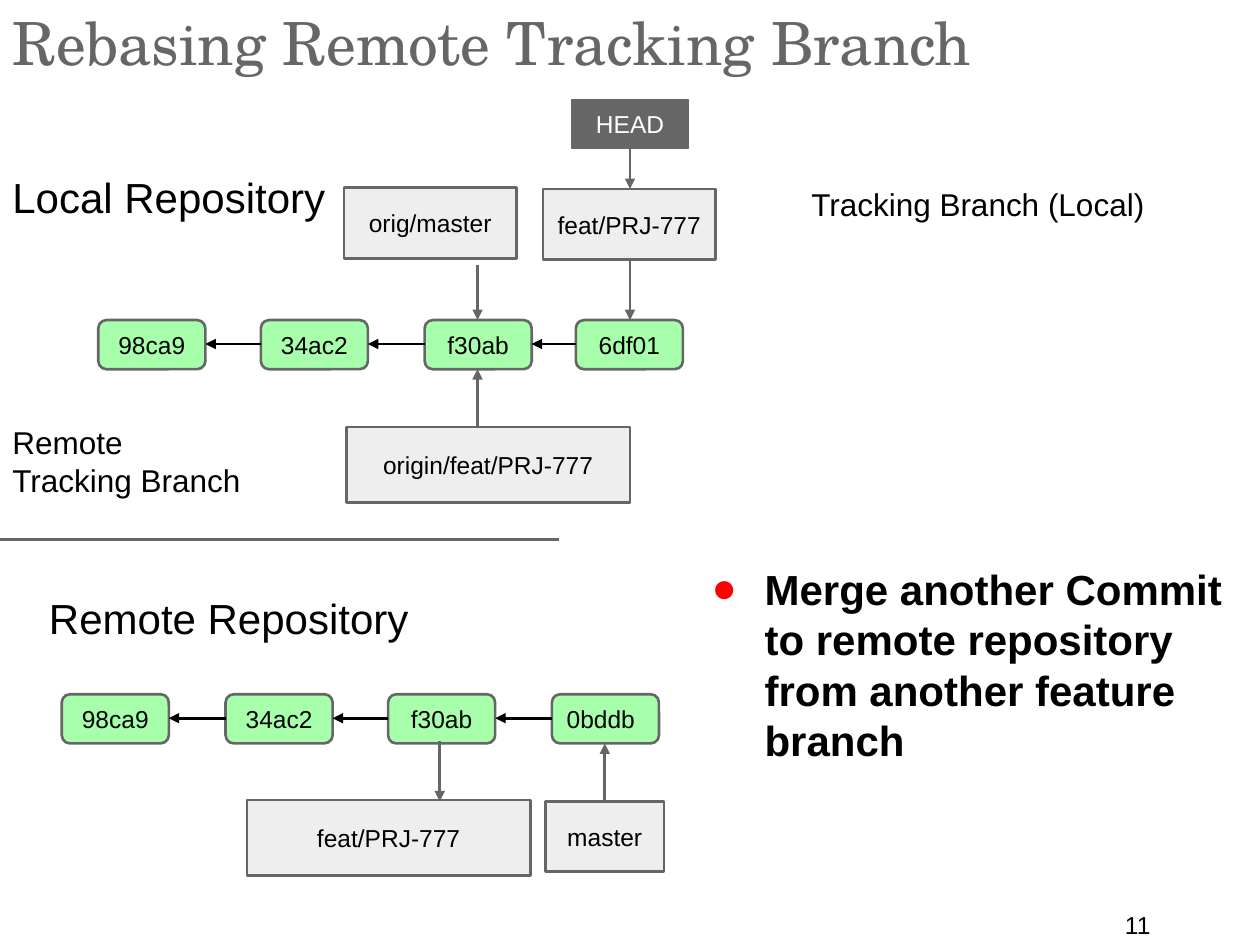
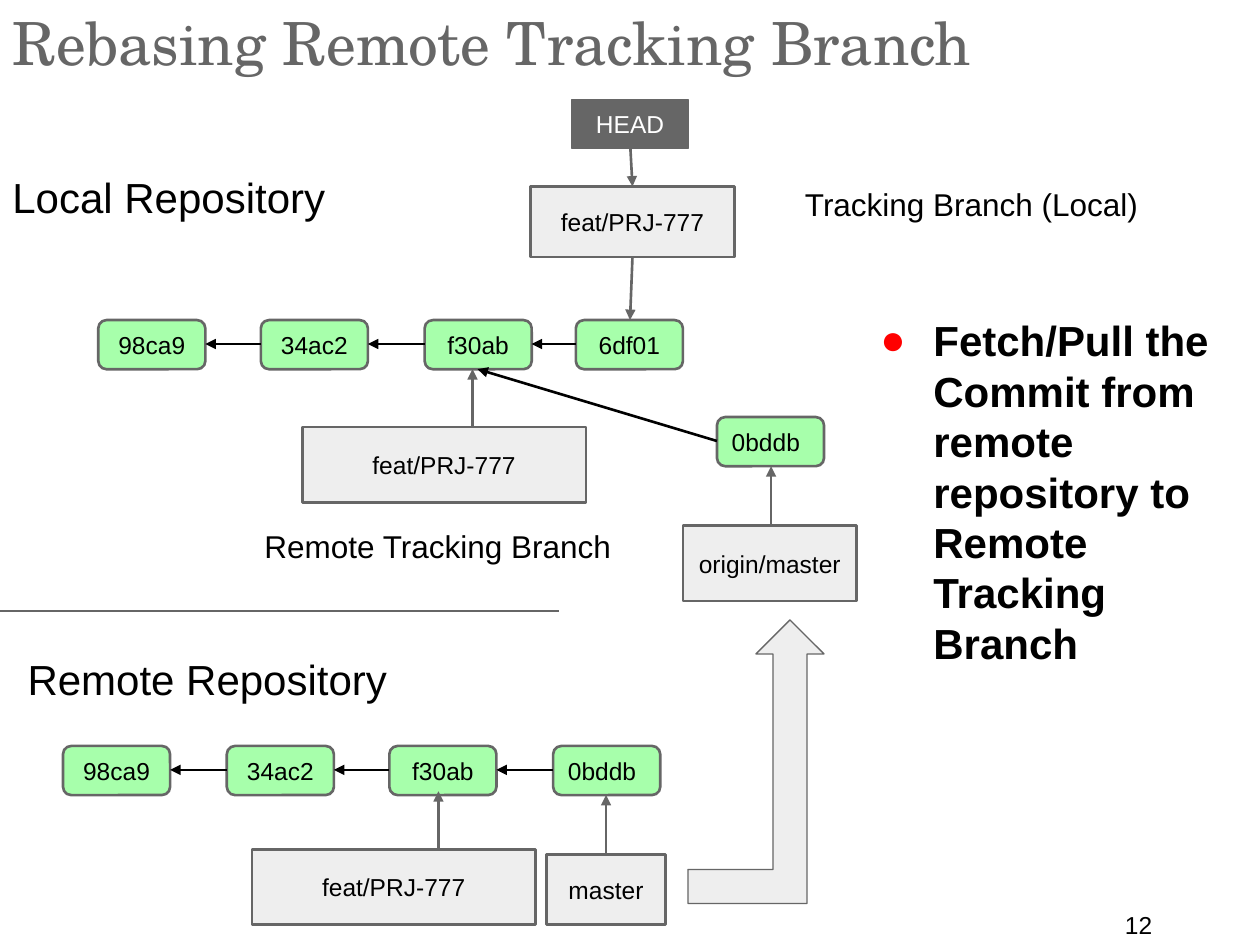
from pptx import Presentation
from pptx.dml.color import RGBColor as Rgb
from pptx.enum.shapes import MSO_CONNECTOR as Link, MSO_SHAPE as Kind
from pptx.enum.text import MSO_ANCHOR as Anchor, PP_ALIGN as Align
from pptx.oxml.ns import qn
from pptx.util import Pt
from lxml.etree import SubElement as Sub

SCALE = 9144  # EMU per px, 100 px to the inch
HUES = {"ink": "000000", "gray": "666666", "pale": "EEEEEE",
        "green": "A7FFAB", "red": "FF0000", "white": "FFFFFF"}
BODY, SERIF = "Arial", "TeX Gyre Schola"
TITLE = "Rebasing Remote Tracking Branch"
NODE_W, NODE_H = 85, 39
LOCAL_Y = 254
LOCAL = [(78, "98ca9"), (207, "34ac2"), (337, "f30ab"), (457, "6df01")]
HASHES = ["98ca9", "34ac2", "f30ab", "0bddb"]


def emu(*sizes):
    return [size * SCALE for size in sizes]


def hue(name):
    return Rgb.from_string(HUES[name])


def apply(target, values):
    for key, value in values.items():
        setattr(target, key, value)


class Deck:
    """Holds the shared style and the slide being filled."""

    def __init__(self):
        self.file = Presentation()
        self.file.slide_width, self.file.slide_height = emu(1000, 750)
        self.slide = None

    def page(self, number):
        """Start a slide with the parts that every slide has."""
        self.slide = self.file.slides.add_slide(self.file.slide_layouts[6])
        self.label(883, 717, 92, 25, str(number), 14, pad=5)
        self.label(0, 0, 1000, 60, TITLE, 34, "gray", SERIF, pad=5)
        self.label(0, 126, 292, 60, "Local Repository", 24)
        self.chain(LOCAL_Y, LOCAL)
        self.block(454, 79, 92, 39, "HEAD", "gray", "white", 0.75)

    def text(self, shape, words, size, color="ink", face=BODY, pad=10,
             bold=False, align=Align.LEFT, anchor=Anchor.TOP):
        frame = shape.text_frame
        side, edge = emu(10, pad)
        apply(frame, {"word_wrap": True, "vertical_anchor": anchor,
                      "margin_left": side, "margin_right": side,
                      "margin_top": edge, "margin_bottom": edge})
        para = frame.paragraphs[0]
        para.alignment = align
        run = para.add_run()
        run.text = words
        apply(run.font, {"name": face, "size": Pt(size), "bold": bold})
        run.font.color.rgb = hue(color)
        return para

    def label(self, x, y, w, h, words, size, color="ink", face=BODY, **more):
        box = self.slide.shapes.add_textbox(*emu(x, y, w, h))
        return self.text(box, words, size, color, face, **more)

    def bullet(self, x, y, w, h, words):
        para = self.label(x, y, w, h, words, 24, bold=True)
        props = para._p.get_or_add_pPr()
        props.set("marL", str(50 * SCALE))
        props.set("indent", str(-42 * SCALE))
        Sub(Sub(props, qn("a:buClr")), qn("a:srgbClr"), val=HUES["red"])
        Sub(props, qn("a:buFont"), typeface=BODY)
        Sub(props, qn("a:buChar"), char="●")

    def shape(self, kind, x, y, w, h, fill, width=1.5):
        item = self.slide.shapes.add_shape(kind, *emu(x, y, w, h))
        item.shadow.inherit = False
        item.fill.solid()
        item.fill.fore_color.rgb = hue(fill)
        item.line.color.rgb = hue("gray")
        item.line.width = Pt(width)
        return item

    def block(self, x, y, w, h, words, fill="pale", color="ink", width=1.5):
        item = self.shape(Kind.RECTANGLE, x, y, w, h, fill, width)
        self.text(item, words, 14, color, align=Align.CENTER,
                  anchor=Anchor.MIDDLE)

    def node(self, x, y, words):
        """Draw one commit; the newest remote one is set flush left."""
        item = self.shape(Kind.ROUNDED_RECTANGLE, x, y, NODE_W, NODE_H, "green")
        item.adjustments[0] = 0.167
        align = Align.LEFT if words == "0bddb" else Align.CENTER
        self.text(item, words, 14, align=align, anchor=Anchor.MIDDLE)

    def chain(self, y, nodes):
        """Draw commits in a row, each pointing to the one before."""
        last, mid = None, y + NODE_H // 2
        for x, words in nodes:
            self.node(x, y, words)
            if last is not None:
                self.line(x, mid, last + NODE_W, mid, "ink")
            last = x

    def remote(self, x, y):
        """Draw the four evenly spaced commits of the remote."""
        self.chain(y, [(x + round(i * 129.6), words)
                       for i, words in enumerate(HASHES)])

    def line(self, x1, y1, x2, y2, color="gray", arrow=True):
        link = self.slide.shapes.add_connector(
            Link.STRAIGHT, *emu(x1, y1, x2, y2))
        link.line.color.rgb = hue(color)
        link.line.width = Pt(1.5)
        if arrow:
            Sub(link.line._get_or_add_ln(), qn("a:tailEnd"), type="triangle")
        Sub(link._element.spPr, qn("a:effectLst"))


def merge(deck):
    deck.page(11)
    deck.line(500, 118, 500, 150)
    deck.block(431, 150, 137, 56, "feat/PRJ-777")
    deck.line(500, 206, 500, LOCAL_Y)
    deck.block(273, 149, 137, 56, "orig/master")
    deck.line(379, 210, 379, LOCAL_Y)
    deck.block(275, 339, 225, 60, "origin/feat/PRJ-777")
    deck.line(379, 339, 379, LOCAL_Y + NODE_H)
    deck.label(0, 326, 207, 77, "Remote Tracking Branch", 18)
    deck.label(634, 137, 332, 77, "Tracking Branch (Local)", 18)

    deck.line(0, 428, 444, 428, arrow=False)
    deck.label(29, 460, 349, 60, "Remote Repository", 24)
    deck.remote(49, 551)
    deck.line(349, 588, 349, 636)
    deck.block(196, 635, 225, 60, "feat/PRJ-777")
    deck.block(433, 636, 94, 56, "master")
    deck.line(480, 636, 480, 590)
    deck.bullet(547, 437, 453, 215, "Merge another Commit to remote "
                "repository from another feature branch")


def fetch(deck):
    deck.page(12)
    deck.line(500, 112, 502, 148)
    deck.block(421, 148, 162, 56, "feat/PRJ-777")
    deck.line(502, 204, 500, LOCAL_Y)
    deck.block(240, 339, 225, 60, "feat/PRJ-777")
    deck.line(375, 339, 375, LOCAL_Y + NODE_H)
    deck.node(569, 331, "0bddb")
    deck.line(569, 350, 379, LOCAL_Y + NODE_H, "ink")
    deck.block(542, 417, 138, 60, "origin/master")
    deck.line(612, 417, 612, 370)
    deck.label(200, 408, 306, 77, "Remote Tracking Branch", 18)
    deck.label(629, 137, 332, 77, "Tracking Branch (Local)", 18)

    deck.line(0, 485, 444, 485, arrow=False)
    deck.label(12, 509, 349, 60, "Remote Repository", 24)
    deck.remote(50, 592)
    deck.block(200, 674, 225, 60, "feat/PRJ-777")
    deck.line(348, 674, 348, 628)
    deck.block(434, 678, 94, 56, "master")
    deck.line(481, 678, 481, 631)
    deck.shape(Kind.BENT_UP_ARROW, 546, 492, 108, 225, "pale", 0.75)
    deck.bullet(681, 240, 306, 493, "Fetch/Pull the Commit from remote "
                "repository to Remote Tracking Branch")


def main():
    deck = Deck()
    merge(deck)
    fetch(deck)
    deck.file.save("out.pptx")


if __name__ == "__main__":
    main()
